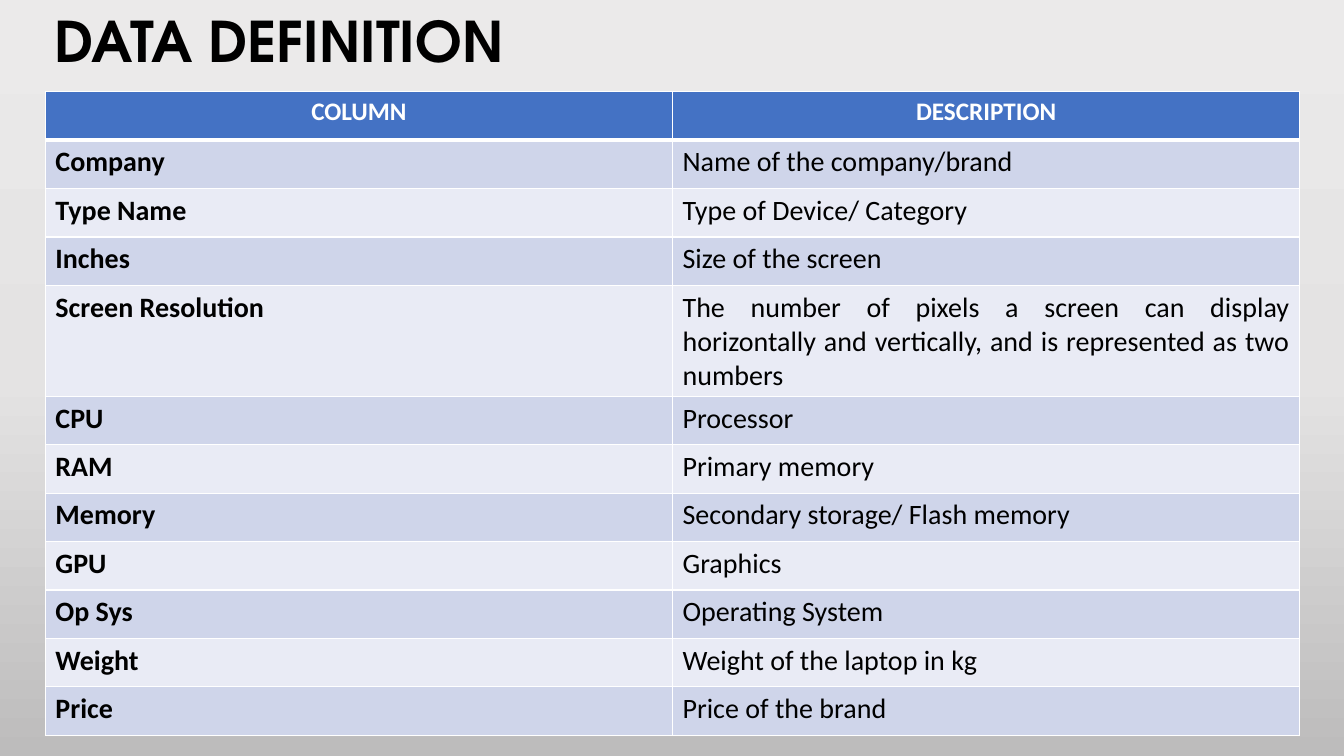
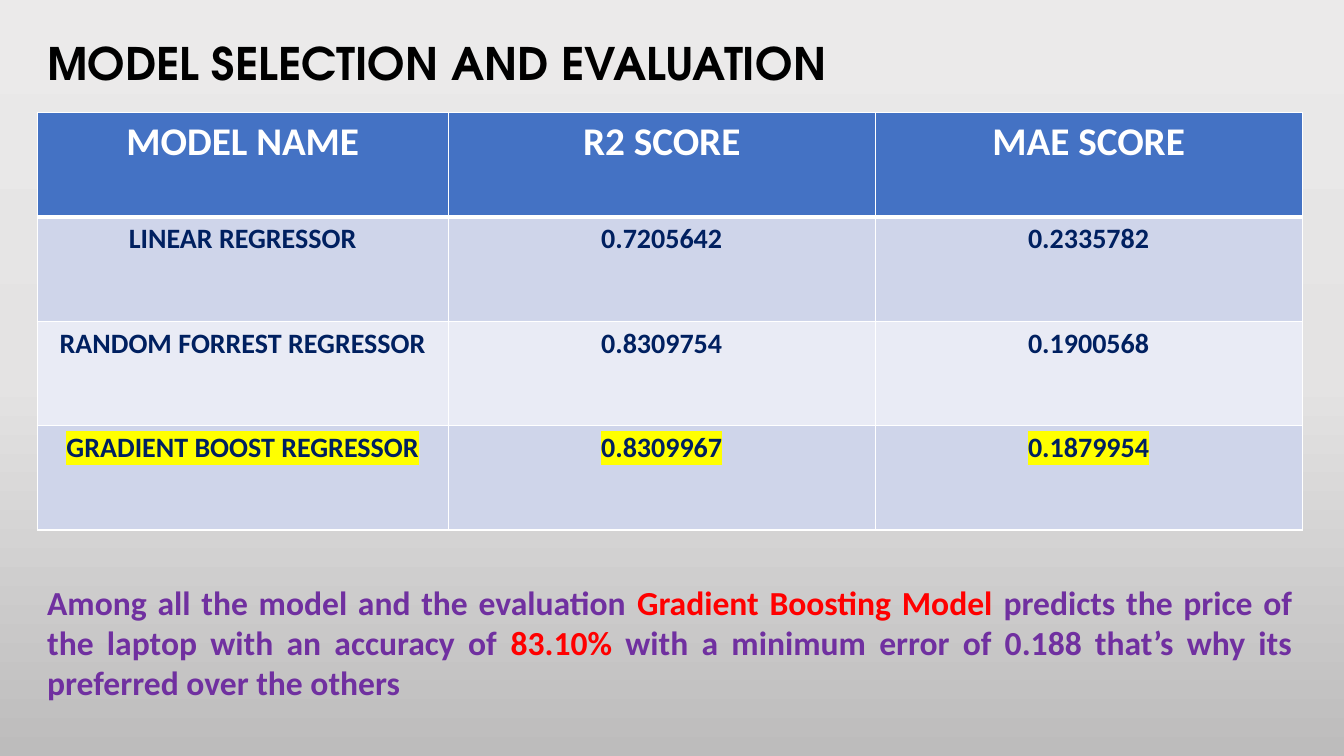
from dataclasses import dataclass
from typing import NamedTuple

from lxml.etree import SubElement
from pptx import Presentation
from pptx.dml.color import RGBColor
from pptx.enum.text import MSO_AUTO_SIZE, PP_ALIGN
from pptx.oxml.ns import qn
from pptx.util import Pt

# Shared look
TITLE_FONT, BODY_FONT = "TeX Gyre Adventor", "Calibri"
BLACK, WHITE, NAVY = "000000", "FFFFFF", "002060"
PURPLE, RED, YELLOW = "7030A0", "FF0000", "FFFF00"
HEADER_FILL = "4472C4"
BAND_FILLS = ("CFD5EA", "E9EBF5")
BACKGROUND = ((0, "EBEAEA"), (50, "E4E3E3"), (100, "BDBCBC"))
LEFT, CENTER, JUSTIFY = PP_ALIGN.LEFT, PP_ALIGN.CENTER, PP_ALIGN.JUSTIFY


class Box(NamedTuple):
    x: float
    y: float
    w: float
    h: float


@dataclass
class Run:
    text: str
    size: float
    color: str = BLACK
    bold: bool = True
    font: str = BODY_FONT
    highlight: str = ""


@dataclass
class Cell:
    run: Run
    align: PP_ALIGN = CENTER


def rgb(color: str) -> RGBColor:
    return RGBColor.from_string(color)


def set_background(prs) -> None:
    """Give every slide the same vertical gradient."""
    master = prs.slide_master
    fill = master.background.fill
    fill.gradient()
    fill.gradient_angle = 270
    stops = master.element.find(".//" + qn("a:gsLst"))
    for old in list(stops):
        stops.remove(old)
    for percent, color in BACKGROUND:
        stop = SubElement(stops, qn("a:gs"), pos=str(percent * 1000))
        SubElement(stop, qn("a:srgbClr"), val=color)


def add_run(p, run: Run) -> None:
    r = p.add_run()
    r.text = run.text
    r.font.size = Pt(run.size)
    r.font.bold = run.bold
    r.font.name = run.font
    r.font.color.rgb = rgb(run.color)
    if run.highlight:
        rpr = r._r.get_or_add_rPr()
        mark = SubElement(rpr, qn("a:highlight"))
        SubElement(mark, qn("a:srgbClr"), val=run.highlight)
        rpr.find(qn("a:solidFill")).addnext(mark)


def add_text(s, box: Box, runs: list[Run], align: PP_ALIGN = LEFT) -> None:
    tf = s.shapes.add_textbox(*map(Pt, box)).text_frame
    tf.word_wrap = True
    tf.auto_size = MSO_AUTO_SIZE.SHAPE_TO_FIT_TEXT
    p = tf.paragraphs[0]
    p.alignment = align
    for run in runs:
        add_run(p, run)


def add_title(s, box: Box, text: str, size: float) -> None:
    add_text(s, box, [Run(text, size, font=TITLE_FONT)])


def set_borders(cell, top: float, bottom: float) -> None:
    tcpr = cell._tc.get_or_add_tcPr()
    sides = (("L", 1), ("R", 1), ("T", top), ("B", bottom))
    for i, (side, width) in enumerate(sides):
        ln = SubElement(tcpr, qn("a:ln" + side), w=str(Pt(width)))
        SubElement(SubElement(ln, qn("a:solidFill")), qn("a:srgbClr"), val=WHITE)
        tcpr.insert(i, ln)


def add_table(s, x: float, y: float, widths: list[float],
              heights: list[float], rows: list[list[Cell]]) -> None:
    """Draw a table with a blue header row and banded body rows."""
    box = Box(x, y, sum(widths), sum(heights))
    table = s.shapes.add_table(len(rows), len(widths), *map(Pt, box)).table
    for column, width in zip(table.columns, widths):
        column.width = Pt(width)
    for i, (row, height) in enumerate(zip(rows, heights)):
        table.rows[i].height = Pt(height)
        for j, item in enumerate(row):
            cell = table.cell(i, j)
            cell.fill.solid()
            cell.fill.fore_color.rgb = rgb(BAND_FILLS[(i - 1) % 2] if i else HEADER_FILL)
            set_borders(cell, top=3 if i == 1 else 1, bottom=1 if i else 3)
            p = cell.text_frame.paragraphs[0]
            p.alignment = item.align
            add_run(p, item.run)


def header(size: float, *names: str) -> list[Cell]:
    return [Cell(Run(name, size, WHITE)) for name in names]


DEFINITIONS = (
    ("Company", "Name of the company/brand"),
    ("Type Name", "Type of Device/ Category"),
    ("Inches", "Size of the screen"),
    ("Screen Resolution", "The number of pixels a screen can display horizontally "
                          "and vertically, and is represented as two numbers"),
    ("CPU", "Processor"),
    ("RAM", "Primary memory"),
    ("Memory", "Secondary storage/ Flash memory"),
    ("GPU", "Graphics"),
    ("Op Sys", "Operating System"),
    ("Weight", "Weight of the laptop in kg"),
    ("Price", "Price of the brand"),
)
SCORES = (
    ("LINEAR REGRESSOR", "0.7205642", "0.2335782"),
    ("RANDOM FORREST REGRESSOR", "0.8309754", "0.1900568"),
    ("GRADIENT BOOST REGRESSOR", "0.8309967", "0.1879954"),
)
BEST = SCORES[-1]


def build_definition(s) -> None:
    add_title(s, Box(31.7, 1.4, 728, 55.4), "DATA DEFINITION", 40)
    rows = [header(18, "COLUMN", "DESCRIPTION")]
    heights = [34.6]
    for name, meaning in DEFINITIONS:
        is_long = len(meaning) > 50
        rows.append([Cell(Run(name, 20), LEFT),
                     Cell(Run(meaning, 20, bold=False), JUSTIFY if is_long else LEFT)])
        heights.append(78.6 if is_long else 34.6)
    add_table(s, 32.4, 65.5, [448, 448], heights, rows)


def build_evaluation(s) -> None:
    add_title(s, Box(26.6, 22.3, 678, 46), "MODEL SELECTION AND EVALUATION", 32)
    rows = [header(28, "MODEL NAME", "R2 SCORE", "MAE SCORE")]
    for score in SCORES:
        mark = YELLOW if score is BEST else ""
        rows.append([Cell(Run(text, 20, NAVY, highlight=mark)) for text in score])
    add_table(s, 26.6, 80.6, [293.6, 305, 305], [74.5] * len(rows), rows)

    # Conclusion
    add_text(s, Box(26.6, 411.8, 903.6, 94.5), [
        Run("Among all the model and the evaluation ", 24, PURPLE),
        Run("Gradient Boosting Model ", 24, RED),
        Run("predicts the price of the laptop with an accuracy of ", 24, PURPLE),
        Run("83.10%", 24, RED),
        Run(" with a minimum error of 0.188 that’s why its preferred over the others",
            24, PURPLE),
    ], JUSTIFY)


def main() -> None:
    prs = Presentation()
    prs.slide_width, prs.slide_height = Pt(960), Pt(540)
    set_background(prs)
    blank = prs.slide_layouts[6]
    for build in (build_definition, build_evaluation):
        build(prs.slides.add_slide(blank))
    prs.save("out.pptx")


if __name__ == "__main__":
    main()
